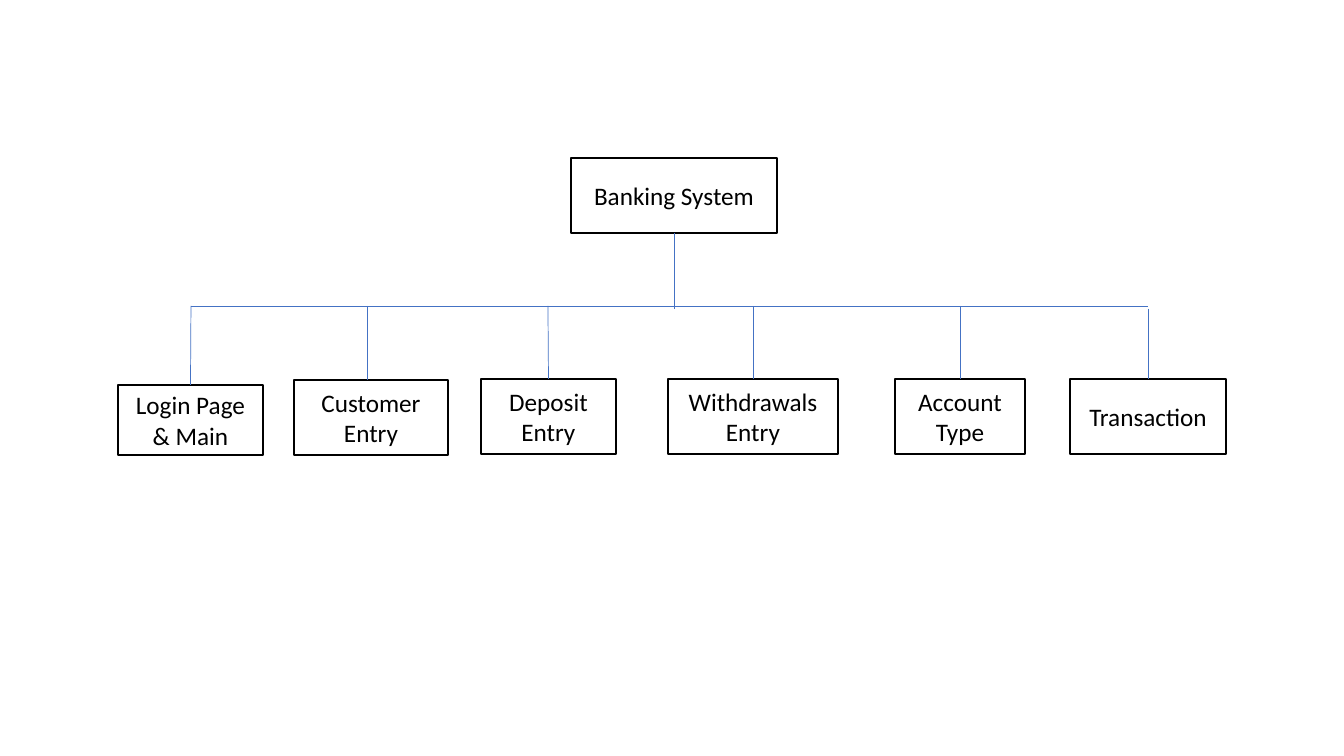
from lxml.etree import SubElement
from pptx import Presentation
from pptx.dml.color import RGBColor
from pptx.enum.shapes import MSO_CONNECTOR, MSO_SHAPE
from pptx.enum.text import MSO_ANCHOR, PP_ALIGN
from pptx.oxml.ns import qn
from pptx.util import Emu, Pt

EMU_PER_INCH = 914400
PX_PER_INCH = 100.8
TOP, BOTTOM = 0, 2
RAIL_Y = 306
RAIL_LEFT, RAIL_RIGHT = 191, 1148

ROOT = ("Banking System", (571, 158, 206, 75))
MODULES = [
    ("Login Page & Main", (118, 385, 145, 70), 191, RAIL_Y),
    ("Customer Entry", (294, 380, 154, 75), 367, RAIL_Y),
    ("Deposit Entry", (481, 379, 135, 75), 548, RAIL_Y),
    ("Withdrawals Entry", (668, 379, 170, 75), 753, RAIL_Y),
    ("Account Type", (895, 379, 130, 75), 960, RAIL_Y),
    ("Transaction", (1070, 379, 156, 75), 1148, RAIL_Y + 3),
]


def px(length):
    return Emu(round(length * EMU_PER_INCH / PX_PER_INCH))


def paint(color_format, color):
    color_format.rgb = RGBColor.from_string(color)


def add_box(page, label, area):
    box = page.shapes.add_shape(MSO_SHAPE.RECTANGLE, *map(px, area))
    box.shadow.inherit = False
    box.fill.solid()
    paint(box.fill.fore_color, "FFFFFF")
    paint(box.line.color, "000000")
    box.line.width = Pt(1)
    frame = box.text_frame
    frame.word_wrap = True
    frame.vertical_anchor = MSO_ANCHOR.MIDDLE
    para = frame.paragraphs[0]
    para.alignment = PP_ALIGN.CENTER
    span = para.add_run()
    span.text = label
    span.font.name = "Calibri"
    span.font.size = Pt(18)
    paint(span.font.color, "000000")
    return box


def add_line(page, start, end):
    line = page.shapes.add_connector(MSO_CONNECTOR.STRAIGHT, *map(px, start + end))
    paint(line.line.color, "4472C4")
    line.line.width = Pt(0.5)
    SubElement(line._element.spPr, qn("a:effectLst"))
    return line


def add_root(page, label, area):
    left, top, width, height = area
    box = add_box(page, label, area)
    center = left + width // 2
    trunk = add_line(page, (center, top + height), (center, RAIL_Y + 3))
    trunk.begin_connect(box, BOTTOM)


def add_module(page, label, area, branch_x, branch_y):
    left, top, width, height = area
    box = add_box(page, label, area)
    branch = add_line(page, (branch_x, branch_y), (branch_x, top))
    if abs(left + width / 2 - branch_x) < 1:
        branch.end_connect(box, TOP)


def main():
    deck = Presentation()
    deck.slide_width, deck.slide_height = px(1344), px(756)
    page = deck.slides.add_slide(deck.slide_layouts[6])
    add_root(page, *ROOT)
    add_line(page, (RAIL_RIGHT, RAIL_Y), (RAIL_LEFT, RAIL_Y))
    for module in MODULES:
        add_module(page, *module)
    deck.save("out.pptx")


if __name__ == "__main__":
    main()
